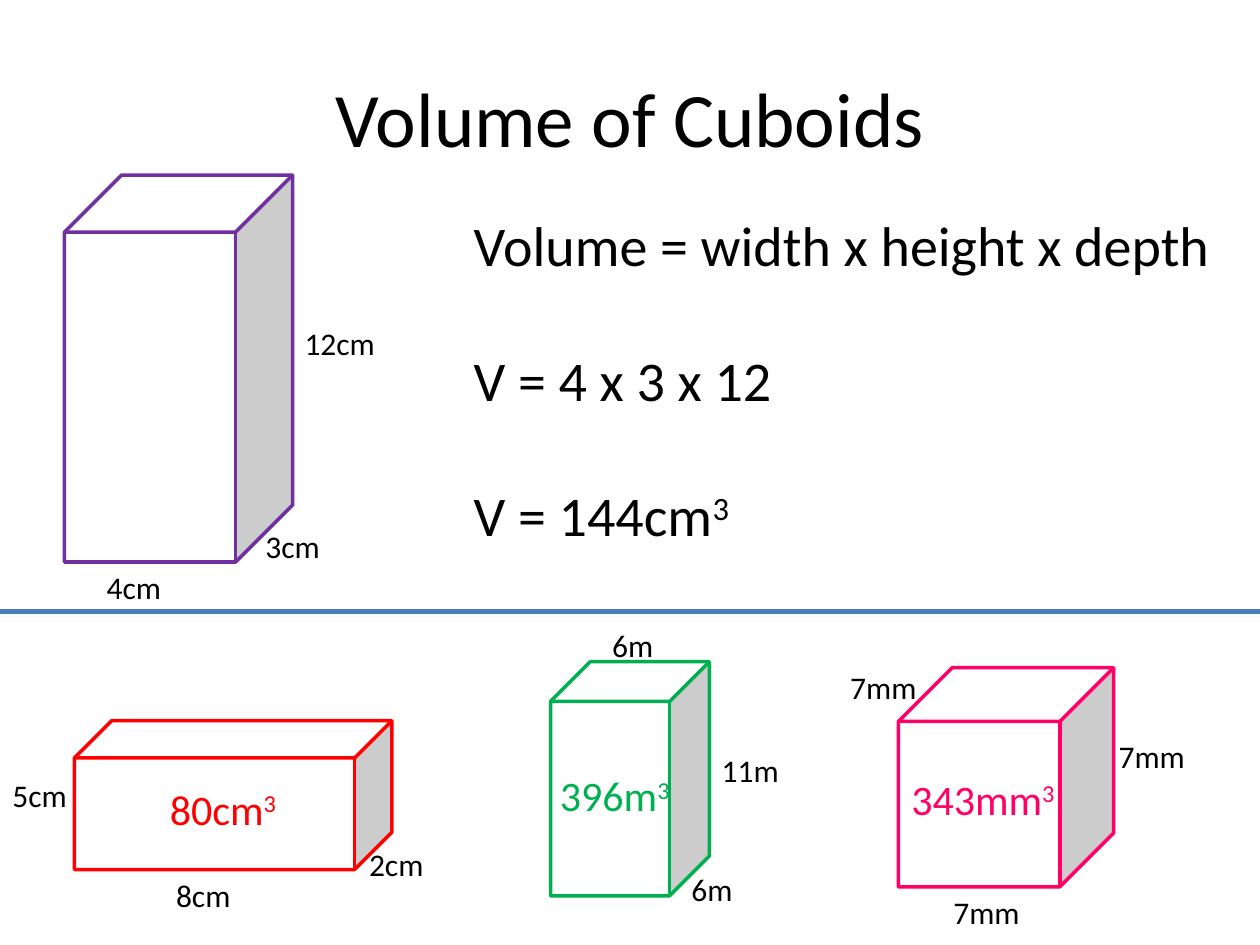
from lxml import etree
from pptx import Presentation
from pptx.dml.color import RGBColor
from pptx.enum.shapes import MSO_CONNECTOR, MSO_SHAPE
from pptx.enum.text import MSO_ANCHOR, PP_ALIGN
from pptx.oxml.ns import qn
from pptx.util import Cm, Pt

BLACK = RGBColor(0x00, 0x00, 0x00)
WHITE = RGBColor(0xFF, 0xFF, 0xFF)
PURPLE = RGBColor(0x70, 0x30, 0xA0)
RED = RGBColor(0xFF, 0x00, 0x00)
GREEN = RGBColor(0x00, 0xB0, 0x50)
PINK = RGBColor(0xFF, 0x00, 0x66)
BLUE = RGBColor(0x4B, 0x7E, 0xBC)
LEFT, CENTER = PP_ALIGN.LEFT, PP_ALIGN.CENTER
TOP, MIDDLE = MSO_ANCHOR.TOP, MSO_ANCHOR.MIDDLE

deck = Presentation()
deck.slide_width, deck.slide_height = Cm(25.4), Cm(19.05)
slide = deck.slides.add_slide(deck.slide_layouts[6])


def add_text(lines, x, y, width, height, size, color=BLACK, align=LEFT, anchor=TOP, gap=0):
    frame = slide.shapes.add_textbox(Cm(x), Cm(y), Cm(width), Cm(height)).text_frame
    frame.word_wrap = True
    frame.vertical_anchor = anchor
    for index, line in enumerate(lines):
        paragraph = frame.paragraphs[0] if index == 0 else frame.add_paragraph()
        if index:
            paragraph.space_before = Pt(gap)
        paragraph.alignment = align
        paragraph.font.name = "Calibri"
        paragraph.font.size = Pt(size)
        paragraph.font.color.rgb = color
        base, _, power = line.partition("^")
        paragraph.add_run().text = base
        if power:
            exponent = paragraph.add_run()
            exponent.text = power
            exponent.font._element.set("baseline", "30000")


add_text(["Volume of Cuboids"], 1.27, 0.76, 22.86, 3.18, 44, align=CENTER, anchor=MIDDLE)
add_text(["Volume = width x height x depth", "V = 4 x 3 x 12", "V = 144cm^3"],
         9.3, 4.11, 16.1, 7.09, 32, gap=39)

divider = slide.shapes.add_connector(MSO_CONNECTOR.STRAIGHT, 0, Cm(12.32), Cm(25.4), Cm(12.32))
divider.line.color.rgb = BLUE
divider.line.width = Pt(3)
etree.SubElement(divider._element.spPr, qn("a:effectLst"))

cuboids = [
    (PURPLE, (1.3, 3.53, 4.6, 7.8),
     [("4cm", 1.9, 11.33), ("3cm", 5.1, 10.49), ("12cm", 5.89, 6.4)], None),
    (RED, (1.5, 14.53, 6.4, 3),
     [("8cm", 3.3, 17.53), ("2cm", 7.19, 16.92), ("5cm", 0, 15.52)], ("80cm^3", 2.59, 15.67)),
    (GREEN, (11.1, 13.34, 3.2, 4.72),
     [("6m", 12.09, 12.5), ("6m", 13.69, 17.42), ("11m", 14.3, 15.01)], ("396m^3", 10.49, 15.39)),
    (PINK, (18.11, 13.46, 4.34, 4.42),
     [("7mm", 18.97, 17.88), ("7mm", 16.89, 13.34), ("7mm", 22.3, 14.73)],
     ("343mm^3", 17.91, 15.47)),
]
for color, box, edges, answer in cuboids:
    cuboid = slide.shapes.add_shape(MSO_SHAPE.CUBE, *map(Cm, box))
    cuboid.shadow.inherit = False
    cuboid.fill.solid()
    cuboid.fill.fore_color.rgb = WHITE
    cuboid.line.color.rgb = color
    cuboid.line.width = Pt(2)
    for length, x, y in edges:
        add_text([length], x, y, 2.59, 1.02, 18)
    if answer:
        volume, x, y = answer
        add_text([volume], x, y, 3.81, 1.27, 24, color, CENTER)

deck.save("out.pptx")
